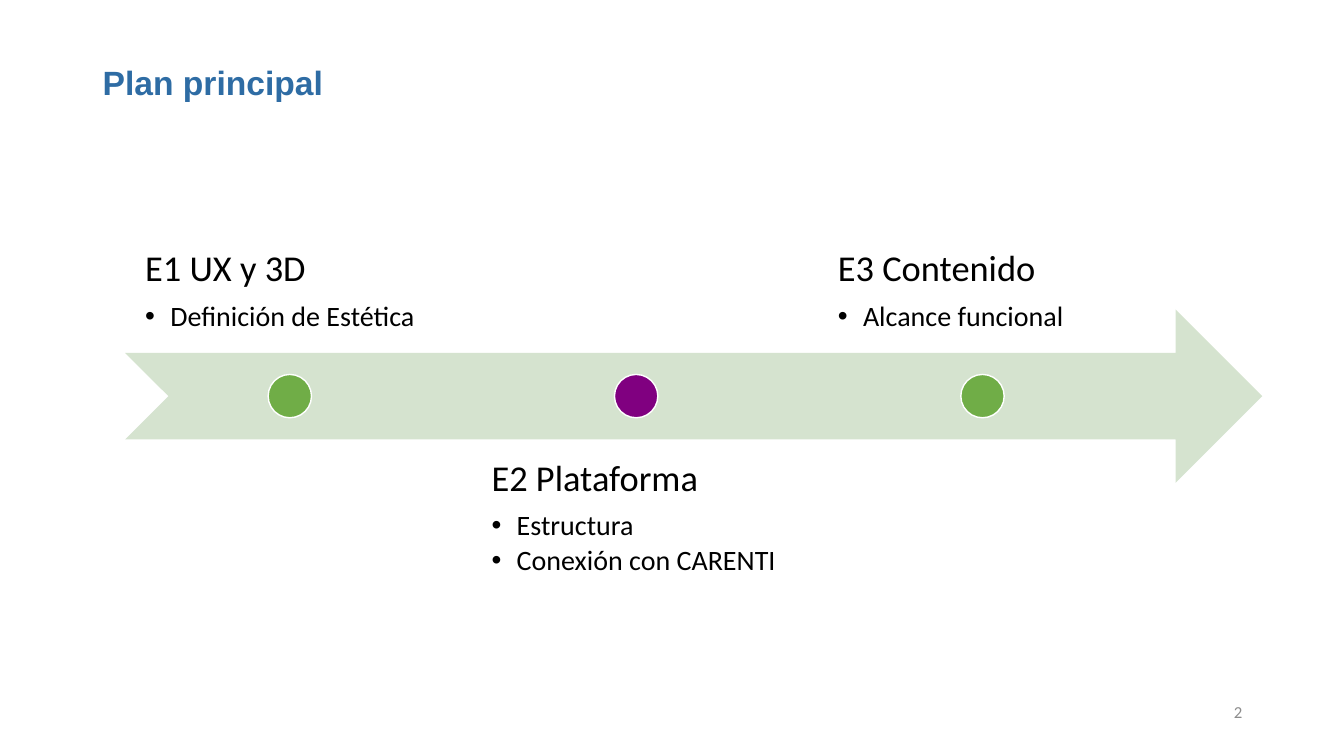
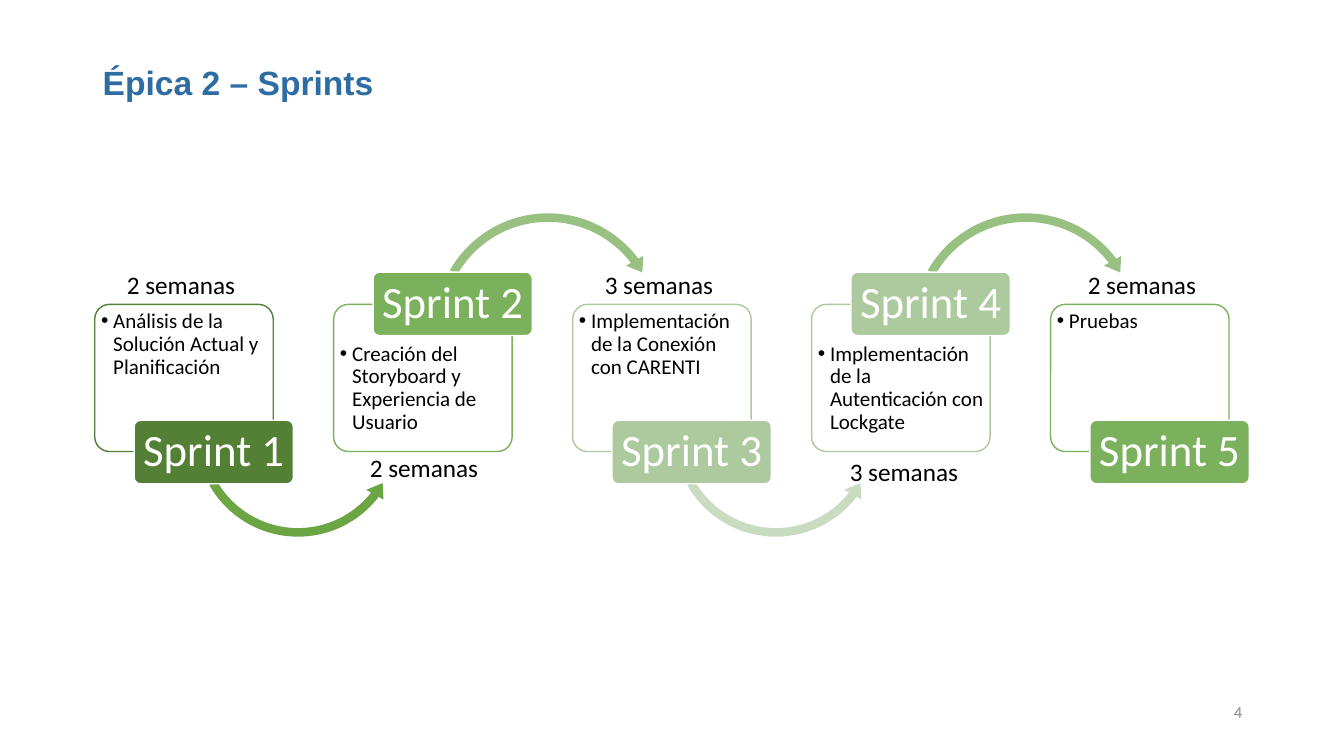
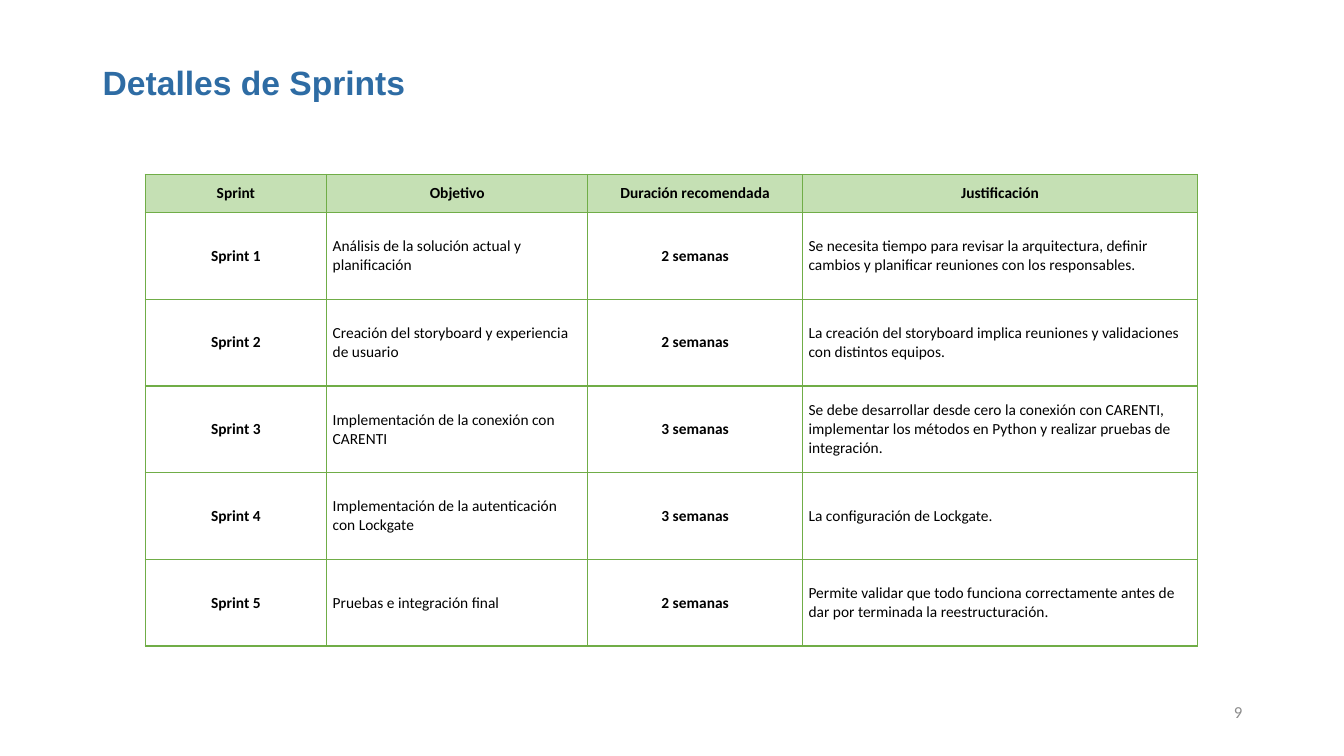
from pptx import Presentation
from pptx import util as u
from pptx.dml.color import RGBColor
from pptx.enum import shapes, text
from pptx.oxml import parse_xml
from pptx.oxml.ns import nsdecls

GREEN, LIME, PALE, DARK = "70AD47", "7BB15D", "ACCA9E", "538035"
WHITE, BLACK, BLUE, GREY = "FFFFFF", "000000", "2E6CA4", "8C8C8C"
BAND, HEAD = "D5E3CF", "C5E0B4"
MID, TOP, LOW = text.MSO_ANCHOR.MIDDLE, text.MSO_ANCHOR.TOP, text.MSO_ANCHOR.BOTTOM
LEFT, MIDST, RIGHT = text.PP_ALIGN.LEFT, text.PP_ALIGN.CENTER, text.PP_ALIGN.RIGHT
KIND = shapes.MSO_SHAPE

EPICS = [
    ("E1 UX y 3D", ["Definición de Estética"], GREEN),
    ("E2 Plataforma", ["Estructura", "Conexión con CARENTI"], "800080"),
    ("E3 Contenido", ["Alcance funcional"], GREEN),
]

SPRINTS = [
    ("Análisis de la Solución Actual y Planificación", "2 semanas", DARK, "6BA544", (0.22, 2.62)),
    ("Creación del Storyboard y Experiencia de Usuario", "2 semanas", LIME, "98C181", (0.26, 4.44)),
    ("Implementación de la Conexión con CARENTI", "3 semanas", PALE, "C9DBC1", (0.22, 2.62)),
    ("Implementación de la Autenticación con Lockgate", "3 semanas", PALE, "98C181", (0.28, 4.48)),
    ("Pruebas", "2 semanas", LIME, None, (0.27, 2.62)),
]

ROWS = [
    ("Sprint", "Objetivo", "Duración recomendada", "Justificación"),
    ("Sprint 1", "Análisis de la solución actual y planificación", "2 semanas",
     "Se necesita tiempo para revisar la arquitectura, definir cambios y planificar "
     "reuniones con los responsables."),
    ("Sprint 2", "Creación del storyboard y experiencia de usuario", "2 semanas",
     "La creación del storyboard implica reuniones y validaciones con distintos equipos."),
    ("Sprint 3", "Implementación de la conexión con CARENTI", "3 semanas",
     "Se debe desarrollar desde cero la conexión con CARENTI, implementar los métodos "
     "en Python y realizar pruebas de integración."),
    ("Sprint 4", "Implementación de la autenticación con Lockgate", "3 semanas",
     "La configuración de Lockgate."),
    ("Sprint 5", "Pruebas e integración final", "2 semanas",
     "Permite validar que todo funciona correctamente antes de dar por terminada la "
     "reestructuración."),
]
COLS = [1.8, 2.59, 2.13, 3.92]
HIGH = [0.38] + [0.86] * 5


def rgb(code):
    return RGBColor.from_string(code)


def inch(*vals):
    return [u.Inches(v) for v in vals]


def style(par, size, color=BLACK, bold=False, face="Calibri", align=LEFT, line=None, after=0):
    par.alignment = align
    par.space_after = u.Pt(after)
    if line:
        par.line_spacing = line
    for run in par.runs:
        font = run.font
        font.name, font.size, font.bold = face, u.Pt(size), bold
        font.color.rgb = rgb(color)


def bullet(par, indent):
    props = par._p.get_or_add_pPr()
    props.set("marL", str(u.Inches(indent)))
    props.set("indent", str(-u.Inches(indent)))
    props.append(parse_xml(f'<a:buFont {nsdecls("a")} typeface="Arial"/>'))
    props.append(parse_xml(f'<a:buChar {nsdecls("a")} char="•"/>'))


def frame(item, lines, anchor=TOP, pad=(0.1, 0.05, 0.1, 0.05), wrap=True):
    body = item.text_frame
    body.text = "\n".join(lines)
    body.word_wrap, body.vertical_anchor = wrap, anchor
    body.margin_left, body.margin_top, body.margin_right, body.margin_bottom = inch(*pad)
    return body.paragraphs


def label(slide, box, lines, **opts):
    return frame(slide.shapes.add_textbox(*inch(*box)), lines, **opts)


def shape(slide, kind, box, fill, line=None, adj=()):
    item = slide.shapes.add_shape(kind, *inch(*box))
    item.shadow.inherit = False
    item.fill.solid()
    item.fill.fore_color.rgb = rgb(fill)
    if line:
        item.line.color.rgb = rgb(line)
        item.line.width = u.Pt(1)
    else:
        item.line.fill.background()
    for i, val in enumerate(adj):
        item.adjustments[i] = val
    return item


def page(deck, title, num):
    slide = deck.slides.add_slide(deck.slide_layouts[6])
    head = label(slide, (0.92, 0.4, 11.92, 0.87), [title], anchor=MID)
    style(head[0], 24, BLUE, True, "Arial", line=0.9)
    foot = label(slide, (9.42, 6.86, 3, 0.4), [str(num)], anchor=MID)
    style(foot[0], 12, GREY, align=RIGHT)
    return slide


def plan(slide):
    left, top, band, step, dot = 1.24, 3.07, 1.72, 3.435, 0.43
    shape(slide, KIND.NOTCHED_RIGHT_ARROW, (left, top, 11.28, band), BAND)
    for i, (name, tasks, color) in enumerate(EPICS):
        x = left + i * step
        y = top + band * (0.75 if i % 2 else -0.75)
        pars = label(slide, (x, y, 3.27, band), [name] + tasks,
                     anchor=TOP if i % 2 else LOW, pad=[0.2] * 4)
        style(pars[0], 26, line=0.9, after=9)
        for par in pars[1:]:
            style(par, 20, line=0.9, after=3)
            bullet(par, 0.25)
        shape(slide, KIND.OVAL, (x + 1.42, top + (band - dot) / 2, dot, dot), color, WHITE)


def swoop(slide, x, color, down):
    if down:
        kind, y, size = KIND.LEFT_CIRCULAR_ARROW, 3.25, 2.13
        thick, tip, angles = 4, 4.6, (8.26, 37.85, 150.41)
    else:
        kind, y, size = KIND.CIRCULAR_ARROW, 2.06, 2.35
        thick, tip, angles = 3.6, 4.2, (7.39, 323.02, 209.59)
    adj = [thick / 100] + [deg * 0.6 for deg in angles] + [tip / 100]
    shape(slide, kind, (x, y, size, size), color, adj=adj)


def sprints(slide):
    for i, (task, time, color, arc, (shift, y)) in enumerate(SPRINTS):
        x, down = 0.94 + 2.37 * i, i % 2 == 0
        card = shape(slide, KIND.ROUNDED_RECTANGLE, (x, 3.02, 1.77, 1.46), WHITE, color, [0.1])
        par = frame(card, [task], pad=(0.02, 0.02 if down else 0.34, 0.01, 0.02))[0]
        style(par, 15, line=0.9)
        bullet(par, 0.12)
        if arc:
            swoop(slide, x + 0.95, arc, down)
        tab = shape(slide, KIND.ROUNDED_RECTANGLE, (x + 0.39, 4.17 if down else 2.7, 1.58, 0.63),
                    color, WHITE, [0.1])
        par = frame(tab, [f"Sprint {i + 1}"], anchor=MID, pad=(0.07, 0.04, 0.07, 0.04), wrap=False)[0]
        style(par, 32, WHITE, align=MIDST, line=0.9)
        style(label(slide, (x + shift, y, 1.29, 0.4), [time], wrap=False)[0], 18)


def border(cell, color):
    props = cell._tc.get_or_add_tcPr()
    for side in "LRTB":
        props.append(parse_xml(
            f'<a:ln{side} {nsdecls("a")} w="12700"><a:solidFill><a:srgbClr val="{color}"/>'
            f'</a:solidFill></a:ln{side}>'))


def details(slide):
    grid = slide.shapes.add_table(len(ROWS), len(COLS),
                                  *inch(1.44, 1.73, sum(COLS), sum(HIGH))).table
    grid.horz_banding = grid.first_row = False
    for col, wide in zip(grid.columns, COLS):
        col.width = u.Inches(wide)
    for r, row in enumerate(ROWS):
        grid.rows[r].height = u.Inches(HIGH[r])
        for c, words in enumerate(row):
            cell = grid.cell(r, c)
            key = r == 0 or c % 2 == 0
            cell.text = words
            cell.vertical_anchor = MID
            cell.margin_left = cell.margin_right = u.Inches(0.06)
            cell.margin_top = cell.margin_bottom = u.Inches(0.03)
            style(cell.text_frame.paragraphs[0], 11, bold=key, align=MIDST if key else LEFT)
            border(cell, GREEN)
            if r:
                cell.fill.background()
            else:
                cell.fill.solid()
                cell.fill.fore_color.rgb = rgb(HEAD)


def main():
    deck = Presentation()
    deck.slide_width, deck.slide_height = inch(13.33, 7.5)
    for title, num, draw in [("Plan principal", 2, plan),
                             ("Épica 2 – Sprints", 4, sprints),
                             ("Detalles de Sprints", 9, details)]:
        draw(page(deck, title, num))
    deck.save("out.pptx")


if __name__ == "__main__":
    main()
